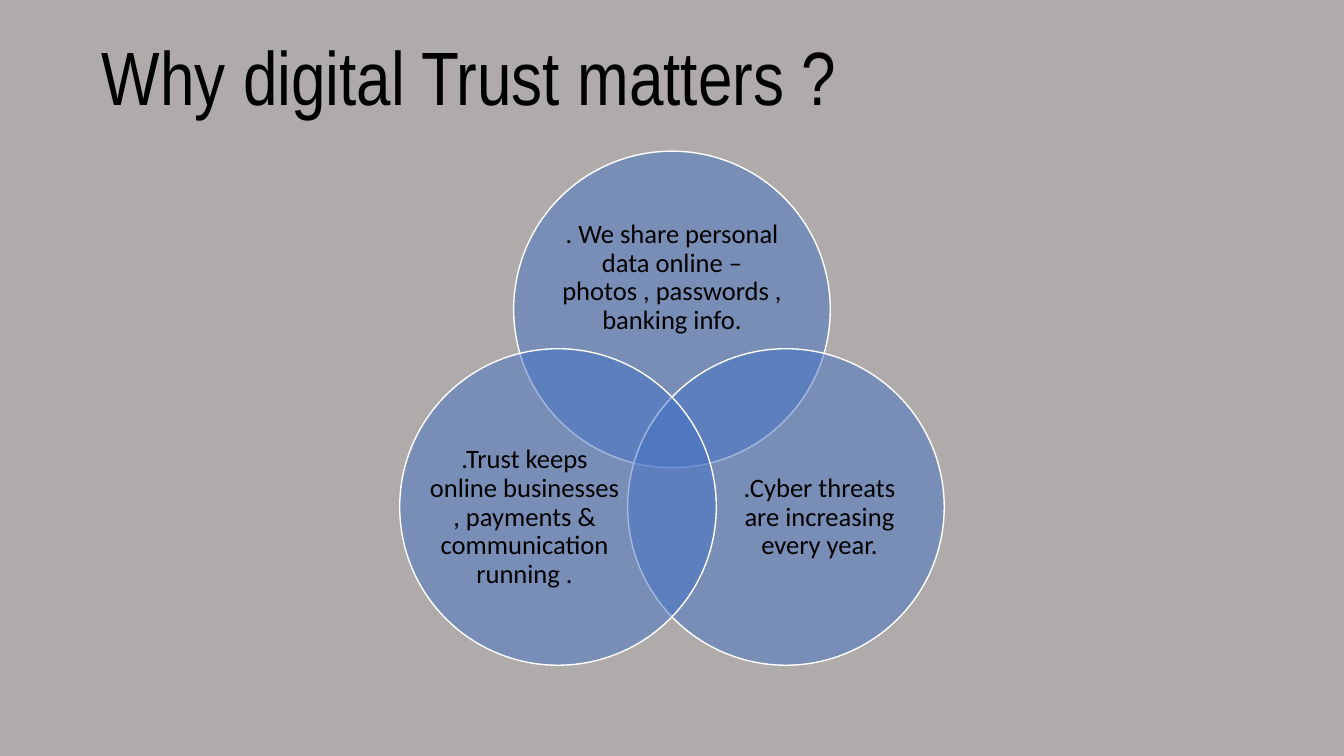
"""Build a slide with three overlapping circles on why digital trust matters."""
from lxml.etree import SubElement
from pptx import Presentation
from pptx.dml.color import RGBColor as Rgb
from pptx.enum.shapes import MSO_SHAPE as Form
from pptx.enum.text import MSO_ANCHOR as Anchor, MSO_AUTO_SIZE as Fit, PP_ALIGN as Align
from pptx.oxml.ns import qn
from pptx.util import Inches, Pt

HUES = {"back": "AFABAB", "disc": "4472C4", "edge": "FFFFFF", "ink": "000000"}


class Deck:
    def __init__(self):
        self.file = Presentation()
        self.file.slide_width, self.file.slide_height = Inches(13.33), Inches(7.5)
        self.wide, self.high = self.file.slide_width, self.file.slide_height
        self.slide = self.file.slides.add_slide(self.file.slide_layouts[5])
        self.paint(self.slide.background.fill, "back")

    def paint(self, fill, hue):
        fill.solid()
        fill.fore_color.rgb = Rgb.from_string(HUES[hue])

    def style(self, frame, text, font, size, align, anchor):
        frame.text = text
        frame.word_wrap = True
        frame.auto_size = Fit.NONE
        frame.vertical_anchor = anchor
        for para in frame.paragraphs:
            para.alignment = align
            para.line_spacing = 0.9
            for run in para.runs:
                run.font.name, run.font.size = font, Pt(size)
                run.font.color.rgb = Rgb.from_string(HUES["ink"])

    def title(self, text, left, top, width, height):
        head = self.slide.shapes.title
        head.left, head.width = (int(self.wide * part / 100) for part in (left, width))
        head.top, head.height = (int(self.high * part / 100) for part in (top, height))
        self.style(head.text_frame, text, "Arial Narrow", 54, Align.LEFT, Anchor.BOTTOM)

    def disc(self, mid, top, size):
        """Draw a circle and return its left, top and diameter."""
        span = int(self.high * size / 100)
        left = int(self.wide * mid / 100 - span / 2)
        top = int(self.high * top / 100)
        disc = self.slide.shapes.add_shape(Form.OVAL, left, top, span, span)
        disc.shadow.inherit = False
        self.paint(disc.fill, "disc")
        tint = disc.element.spPr.find(qn("a:solidFill"))[0]
        SubElement(tint, qn("a:alpha"), val="50000")
        disc.line.color.rgb = Rgb.from_string(HUES["edge"])
        disc.line.width = Pt(1)
        return left, top, span

    def label(self, text, disc, area):
        """Set text in an area given as shares of the circle's diameter."""
        left, top, span = disc
        x, y, width, height = (int(span * part / 100) for part in area)
        box = self.slide.shapes.add_textbox(left + x, top + y, width, height)
        frame = box.text_frame
        frame.margin_left = frame.margin_right = frame.margin_top = frame.margin_bottom = 0
        self.style(frame, text, "Calibri", 19, Align.CENTER, Anchor.MIDDLE)


def main():
    deck = Deck()
    deck.title("Why digital Trust matters ?", 6.83, 3.73, 86.27, 13.07)
    size, shift, low = 41.87, 8.48, 46.13
    points = [
        (". We share personal data online – photos , passwords , banking info.",
         50, 20, (13.33, 17.5, 73.33, 45)),
        (".Cyber threats are increasing every year.",
         50 + shift, low, (30.58, 25.83, 60, 55)),
        (".Trust keeps online businesses , payments & communication running .",
         50 - shift, low, (9.42, 25.83, 60, 55)),
    ]
    for text, mid, top, area in points:
        deck.label(text, deck.disc(mid, top, size), area)
    deck.file.save("out.pptx")


if __name__ == "__main__":
    main()
